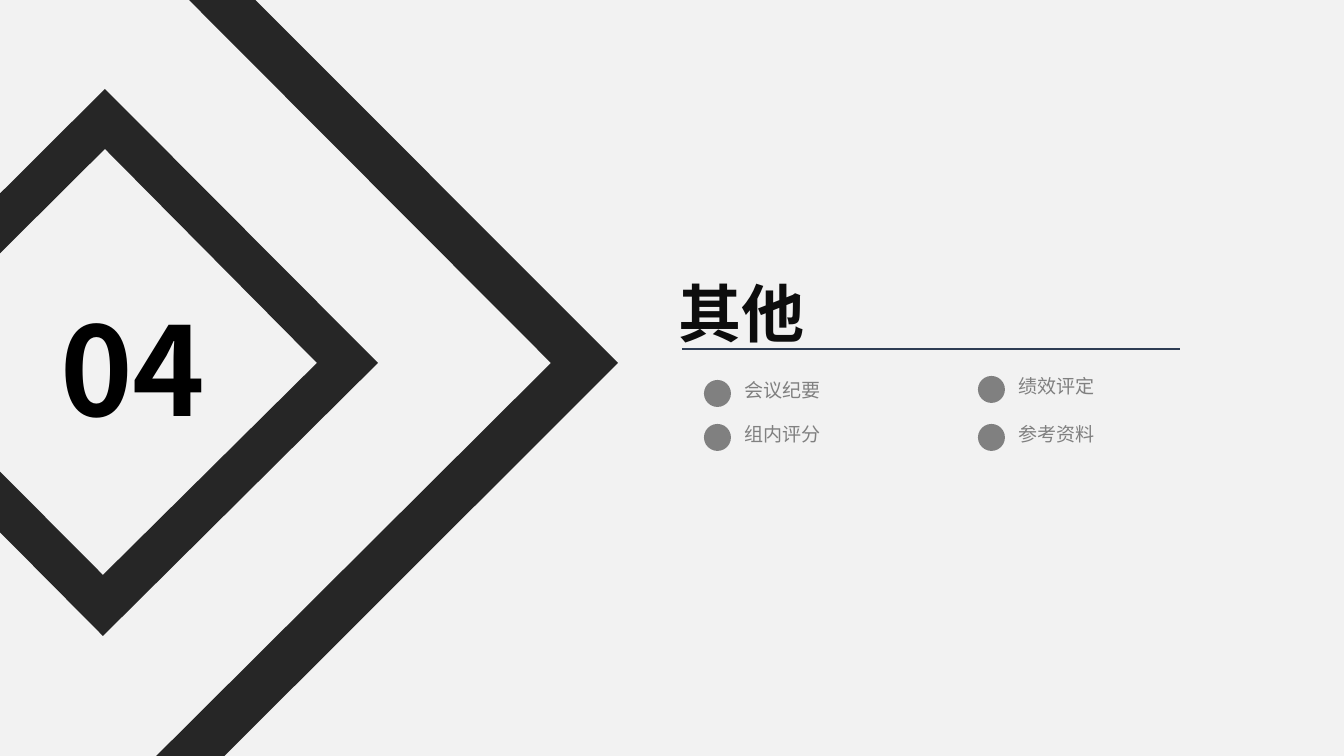
from dataclasses import dataclass
from lxml import etree
from pptx import Presentation
from pptx.dml.color import RGBColor
from pptx.enum.shapes import MSO_CONNECTOR, MSO_SHAPE
from pptx.enum.text import MSO_ANCHOR
from pptx.oxml.ns import qn
from pptx.util import Pt

STRAIGHT = MSO_CONNECTOR.STRAIGHT
OVAL = MSO_SHAPE.OVAL
MIDDLE = MSO_ANCHOR.MIDDLE
PX = 914400 / 134.4


@dataclass(frozen=True)
class Theme:
    font: str = "Noto Sans CJK SC"
    background: str = "F2F2F2"
    band: str = "262626"
    rule: str = "2E3D54"
    title: str = "0D0D0D"
    number: str = "000000"
    topic: str = "808080"
    title_size: float = 33.8
    number_size: float = 66
    topic_size: float = 10.2
    rule_width: float = 0.75


THEME = Theme()
SLIDE_SIZE = (1344, 756)

TITLE = ("其他", (665, 267, 602, 90))
NUMBER = ("04", (47, 286, 180, 163))
RULE = (682, 349, 1180, 349)
TOPICS = [
    ("会议纪要", 704, 380, 227),
    ("组内评分", 704, 424, 274),
    ("绩效评定", 978, 376, 246),
    ("参考资料", 978, 424, 270),
]
DOT = 27
LABEL_HEIGHT = 36
LABEL_RISE = 8

CHEVRON = [
    [(-85, -341), (618, 363), (-86, 1066), (-120, 1031), (551, 363), (-118, -308)],
]
DIAMOND = [
    [(105, 149), (-109, 362), (103, 575), (317, 363)],
    [(105, 89), (378, 363), (103, 636), (-169, 362)],
]


def emu(*lengths):
    return [round(length * PX) for length in lengths]


def paint(shape, color):
    shape.shadow.inherit = False
    shape.fill.solid()
    shape.fill.fore_color.rgb = RGBColor.from_string(color)
    shape.line.fill.background()


def add_text(slide, text, box, size, color, bold=False, wrap=True):
    frame = slide.shapes.add_textbox(*emu(*box)).text_frame
    frame.word_wrap = wrap
    frame.vertical_anchor = MIDDLE
    frame.margin_top = frame.margin_bottom = 0
    paragraph = frame.paragraphs[0]
    paragraph.text = text
    font = paragraph.font
    font.size = Pt(size)
    font.bold = bold
    font.color.rgb = RGBColor.from_string(color)
    font.name = THEME.font
    etree.SubElement(font._rPr, qn("a:ea"), typeface=THEME.font)


def add_band(slide, contours):
    first, *others = contours
    builder = slide.shapes.build_freeform(*first[0], scale=PX)
    builder.add_line_segments(first[1:], close=True)
    for contour in others:
        builder.move_to(*contour[0])
        builder.add_line_segments(contour[1:], close=True)
    paint(builder.convert_to_shape(), THEME.band)


def add_rule(slide):
    rule = slide.shapes.add_connector(STRAIGHT, *emu(*RULE))
    rule.line.color.rgb = RGBColor.from_string(THEME.rule)
    rule.line.width = Pt(THEME.rule_width)
    etree.SubElement(rule._element.spPr, qn("a:effectLst"))


def add_topic(slide, text, left, top, width):
    paint(slide.shapes.add_shape(OVAL, *emu(left, top, DOT, DOT)), THEME.topic)
    label = (left + DOT, top - LABEL_RISE, width, LABEL_HEIGHT)
    add_text(slide, text, label, THEME.topic_size, THEME.topic)


def main():
    deck = Presentation()
    deck.slide_width, deck.slide_height = emu(*SLIDE_SIZE)
    slide = deck.slides.add_slide(deck.slide_layouts[6])
    slide.background.fill.solid()
    slide.background.fill.fore_color.rgb = RGBColor.from_string(THEME.background)

    add_text(slide, *TITLE, THEME.title_size, THEME.title, bold=True)
    add_rule(slide)
    for topic in TOPICS:
        add_topic(slide, *topic)
    add_text(slide, *NUMBER, THEME.number_size, THEME.number, bold=True, wrap=False)
    add_band(slide, CHEVRON)
    add_band(slide, DIAMOND)
    deck.save("out.pptx")


if __name__ == "__main__":
    main()
